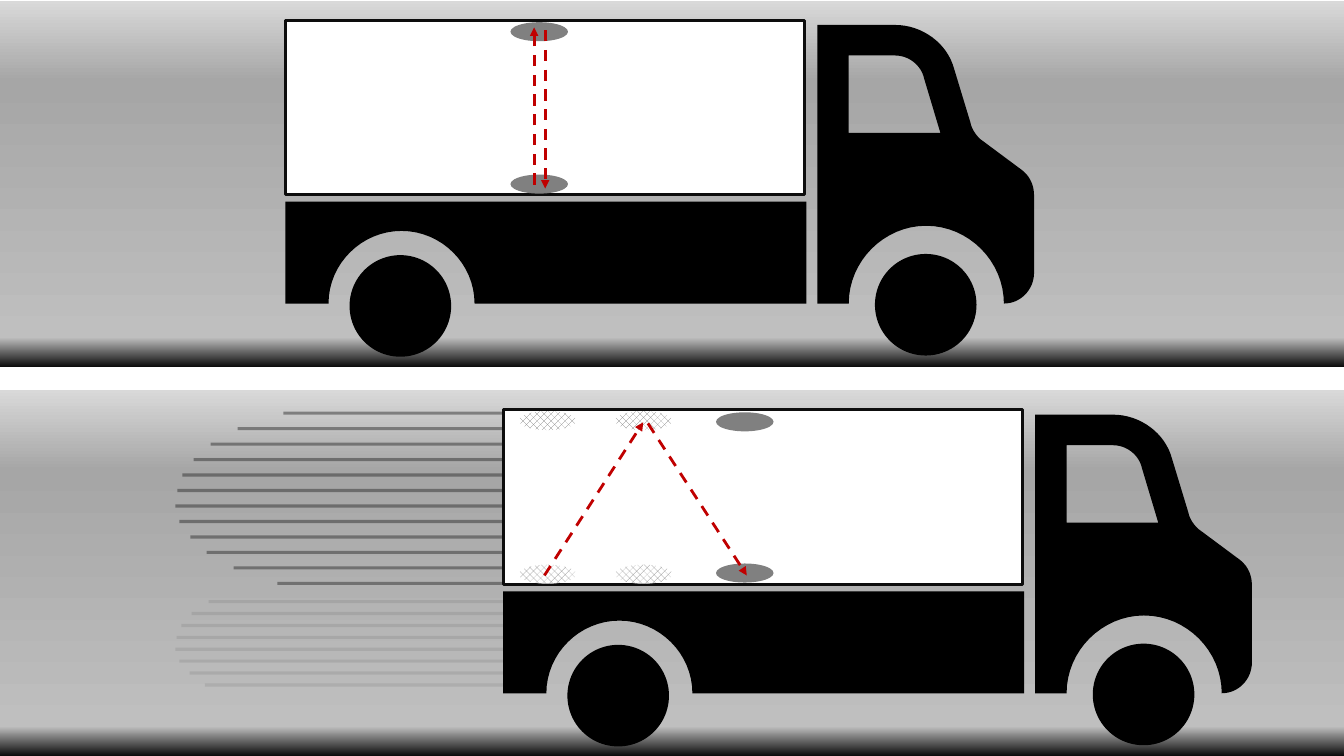
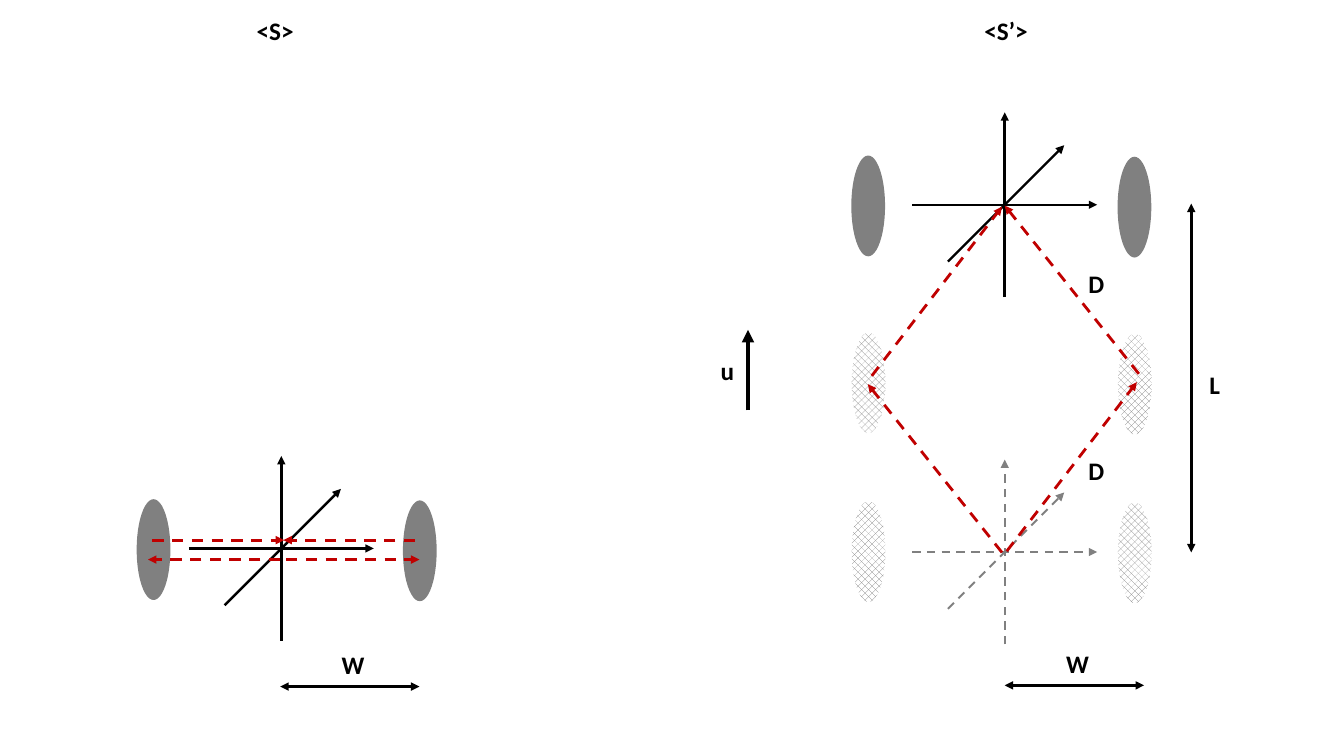
from lxml import etree
from pptx import Presentation
from pptx import util as u
from pptx.dml import color
from pptx.enum import dml, shapes
from pptx.oxml import ns

COLORS = {
    "ink": "000000", "outline": "0D0D0D", "paper": "FFFFFF", "mirror": "808080",
    "light": "C00000", "speed": "262626",
}
ROAD_GRADIENT = [(0, "D9D9D9"), (22, "A6A6A6"), (92, "BFBFBF"), (100, "0D0D0D")]
FONT = "Calibri"

# Outlines in cm: a pair is a corner, six numbers are a cubic curve.
BED = [[(7.19, 5.08), (20.32, 5.08), (20.32, 7.65), (11.96, 7.65),
        (11.96, 6.65, 11.13, 5.82, 10.12, 5.82),
        (9.11, 5.82, 8.28, 6.65, 8.28, 7.65), (7.19, 7.65)]]
CAB = [
    [(22.56, 0.63), (20.6, 0.63), (20.6, 7.65), (21.39, 7.65),
     (21.39, 6.58, 22.28, 5.69, 23.34, 5.69),
     (24.41, 5.69, 25.3, 6.58, 25.3, 7.65),
     (25.73, 7.65, 26.06, 7.29, 26.06, 6.88), (26.06, 4.93),
     (26.06, 4.67, 25.96, 4.45, 25.76, 4.29), (24.71, 3.51),
     (24.59, 3.4, 24.49, 3.25, 24.46, 3.1), (24.05, 1.75),
     (23.88, 1.09, 23.24, 0.63, 22.56, 0.63)],
    [(21.39, 1.4), (22.56, 1.4), (22.91, 1.4, 23.22, 1.65, 23.29, 1.98),
     (23.7, 3.35), (21.39, 3.35)],
]
TRUCK_SHIFT = 5.49
PANEL_SHIFT = 9.82


def flatten(outline, steps=16):
    """Turn corners and cubic curves into a list of points."""
    points = []
    for part in outline:
        if len(part) == 2:
            points.append(part)
            continue
        start, controls = points[-1], (part[:2], part[2:4], part[4:])
        for step in range(1, steps + 1):
            t = step / steps
            weights = ((1 - t) ** 3, 3 * t * (1 - t) ** 2, 3 * t * t * (1 - t), t ** 3)
            points.append(tuple(
                sum(w * p[axis] for w, p in zip(weights, (start, *controls)))
                for axis in (0, 1)))
    return points


class Sketch:
    """Style and current slide; all lengths are in cm."""

    def __init__(self):
        self.deck = Presentation()
        self.deck.slide_width, self.deck.slide_height = u.Cm(33.87), u.Cm(19.05)
        self.slide = None

    def new_slide(self):
        self.slide = self.deck.slides.add_slide(self.deck.slide_layouts[6])

    def _paint(self, shape, fill=None, outline=None):
        shape.shadow.inherit = False
        if fill:
            shape.fill.solid()
            shape.fill.fore_color.rgb = self._rgb(fill)
        if outline:
            shape.line.color.rgb = self._rgb(outline)
            shape.line.width = u.Pt(2.25)
        else:
            shape.line.fill.background()

    @staticmethod
    def _rgb(name):
        return color.RGBColor.from_string(COLORS[name])

    def _preset(self, kind, left, top, width, height, fill=None, outline=None):
        shape = self.slide.shapes.add_shape(
            kind, u.Cm(left), u.Cm(top), u.Cm(width), u.Cm(height))
        self._paint(shape, fill, outline)
        return shape

    def box(self, left, top, width, height, fill, outline=None):
        self._preset(shapes.MSO_SHAPE.RECTANGLE, left, top, width, height, fill, outline)

    def road(self, top):
        road = self._preset(shapes.MSO_SHAPE.RECTANGLE, 0, top, 33.87, 9.22)
        road.fill.gradient()
        road.fill.gradient_angle = 270
        stops = road.fill._fill._gradFill.find(ns.qn("a:gsLst"))
        for stop in list(stops):
            stops.remove(stop)
        for percent, shade in ROAD_GRADIENT:
            stop = etree.SubElement(stops, ns.qn("a:gs"), pos=str(percent * 1000))
            etree.SubElement(stop, ns.qn("a:srgbClr"), val=shade)

    def oval(self, x, y, width, height, fill="mirror", ghost=False):
        """Oval centred on x, y; a ghost is hatched."""
        oval = self._preset(shapes.MSO_SHAPE.OVAL, x - width / 2, y - height / 2,
                            width, height, fill)
        if ghost:
            oval.fill.patterned()
            oval.fill.pattern = dml.MSO_PATTERN.PERCENT_50
            oval.fill.fore_color.rgb = self._rgb(fill)
            oval.fill.back_color.rgb = self._rgb("paper")

    def outline(self, contours, dx=0, dy=0):
        builder = None
        for contour in contours:
            first, *rest = [(u.Cm(x + dx), u.Cm(y + dy)) for x, y in flatten(contour)]
            if builder is None:
                builder = self.slide.shapes.build_freeform(*first, scale=1.0)
            else:
                builder.move_to(*first)
            builder.add_line_segments(rest, close=True)
        self._paint(builder.convert_to_shape(), "ink")

    def line(self, x1, y1, x2, y2, shade="ink", width=2.0, dashed=False,
             ends=("tailEnd",), opacity=None):
        line = self.slide.shapes.add_connector(
            shapes.MSO_CONNECTOR.STRAIGHT, u.Cm(x1), u.Cm(y1), u.Cm(x2), u.Cm(y2))
        line.line.color.rgb = self._rgb(shade)
        line.line.width = u.Pt(width)
        if dashed:
            line.line.dash_style = dml.MSO_LINE.DASH
        stroke = line.line._get_or_add_ln()
        if opacity:
            tint = stroke.find(".//" + ns.qn("a:srgbClr"))
            etree.SubElement(tint, ns.qn("a:alpha"), val=str(opacity * 1000))
        for end in ends:
            etree.SubElement(stroke, ns.qn("a:" + end), type="triangle")
        etree.SubElement(line._element.spPr, ns.qn("a:effectLst"))

    def light(self, *points):
        self.line(*points, shade="light", dashed=True)

    def dimension(self, *points):
        self.line(*points, ends=("headEnd", "tailEnd"))

    def label(self, wording, left, top, width):
        frame = self.slide.shapes.add_textbox(
            u.Cm(left), u.Cm(top), u.Cm(width), u.Cm(1.02)).text_frame
        frame.word_wrap = True
        paragraph = frame.paragraphs[0]
        paragraph.text = wording
        paragraph.font.name, paragraph.font.size = FONT, u.Pt(18)
        paragraph.font.bold = True
        paragraph.font.color.rgb = self._rgb("ink")

    def truck(self, dx=0, dy=0):
        for x, y in ((10.09, 7.71), (23.33, 7.68)):
            self.oval(x + dx, y + dy, 2.56, 2.56, "ink")
        self.box(7.19 + dx, 0.51 + dy, 13.08, 4.39, "paper", "outline")
        self.outline(CAB, dx, dy)
        self.outline(BED, dx, dy)

    def flat_mirrors(self, x, top, bottom, ghost=False):
        for y in (top, bottom):
            self.oval(x, y, 1.45, 0.48, ghost=ghost)

    def upright_mirrors(self, x, y, ghost=False):
        self.oval(x, y, 0.85, 2.54, ghost=ghost)
        self.oval(x + 6.71, y + 0.03, 0.85, 2.54, ghost=ghost)

    def speed_lines(self, top, gap, length, lefts, opacity):
        for row, left in enumerate(lefts):
            y = top + row * gap
            self.line(left, y, left + length, y, "speed", 2.25, ends=(), opacity=opacity)

    def axes(self, x, y, past=False):
        """Three axes through x, y; a past position is grey and dashed."""
        for x1, y1, x2, y2 in ((0, 2.33, 0, -2.33), (-2.33, 0, 2.33, 0),
                               (-1.43, 1.43, 1.5, -1.5)):
            self.line(x + x1, y + y1, x + x2, y + y2, "mirror" if past else "ink",
                      1.5 if past else 1.75, dashed=past)


def truck_slide(sketch):
    sketch.new_slide()
    sketch.road(0.02)
    sketch.truck()
    sketch.flat_mirrors(13.59, 0.8, 4.64)
    sketch.light(13.74, 0.76, 13.74, 4.75)
    sketch.light(13.46, 4.65, 13.46, 0.69)

    sketch.road(PANEL_SHIFT)
    sketch.speed_lines(10.41, 0.39, 9.15, (7.14, 5.99, 5.31, 4.88, 4.6, 4.47, 4.42,
                                           4.52, 4.8, 5.21, 5.89, 6.99), 45)
    sketch.speed_lines(15.16, 0.3, 8.43, (5.26, 4.83, 4.57, 4.45, 4.42, 4.52,
                                          4.78, 5.16), 10)
    sketch.truck(TRUCK_SHIFT, PANEL_SHIFT)
    sketch.flat_mirrors(18.77, 10.63, 14.44)
    for past_x in (13.8, 16.22):
        sketch.flat_mirrors(past_x, 10.6, 14.47, ghost=True)
    sketch.light(13.72, 14.5, 16.21, 10.64)
    sketch.light(16.33, 10.67, 18.82, 14.5)


def frames_slide(sketch):
    sketch.new_slide()
    sketch.axes(25.32, 5.16)
    sketch.upright_mirrors(21.88, 5.19)
    for past_y in (13.9, 9.65):
        sketch.upright_mirrors(21.89, past_y, ghost=True)
    sketch.axes(25.32, 13.91, past=True)
    sketch.axes(7.09, 13.82)
    sketch.upright_mirrors(3.87, 13.85)

    for pulse in ((21.97, 9.47, 25.25, 5.21), (25.25, 13.92, 21.87, 9.68),
                  (28.7, 9.42, 25.32, 5.18), (25.37, 13.89, 28.65, 9.63),
                  (3.84, 13.61, 7.16, 13.61), (7.06, 14.1, 3.73, 14.1),
                  (10.46, 13.61, 7.14, 13.61), (7.21, 14.1, 10.57, 14.1)):
        sketch.light(*pulse)
    for span in ((7.06, 17.3, 10.57, 17.3), (25.32, 17.27, 28.83, 17.27),
                 (30.02, 5.13, 30.02, 13.92)):
        sketch.dimension(*span)
    sketch.line(18.85, 10.34, 18.85, 8.31, width=3)

    for label in (("<S’>", 24.56, 0.25, 1.63), ("<S>", 6.22, 0.25, 1.63),
                  ("W", 8.36, 16.23, 1.09), ("W", 26.62, 16.21, 1.09),
                  ("L", 30.23, 9.17, 1.09), ("D", 27.18, 6.63, 1.19),
                  ("D", 27.18, 11.35, 1.19), ("u", 17.91, 8.84, 0.9)):
        sketch.label(*label)


def main():
    sketch = Sketch()
    truck_slide(sketch)
    frames_slide(sketch)
    sketch.deck.save("out.pptx")


if __name__ == "__main__":
    main()
